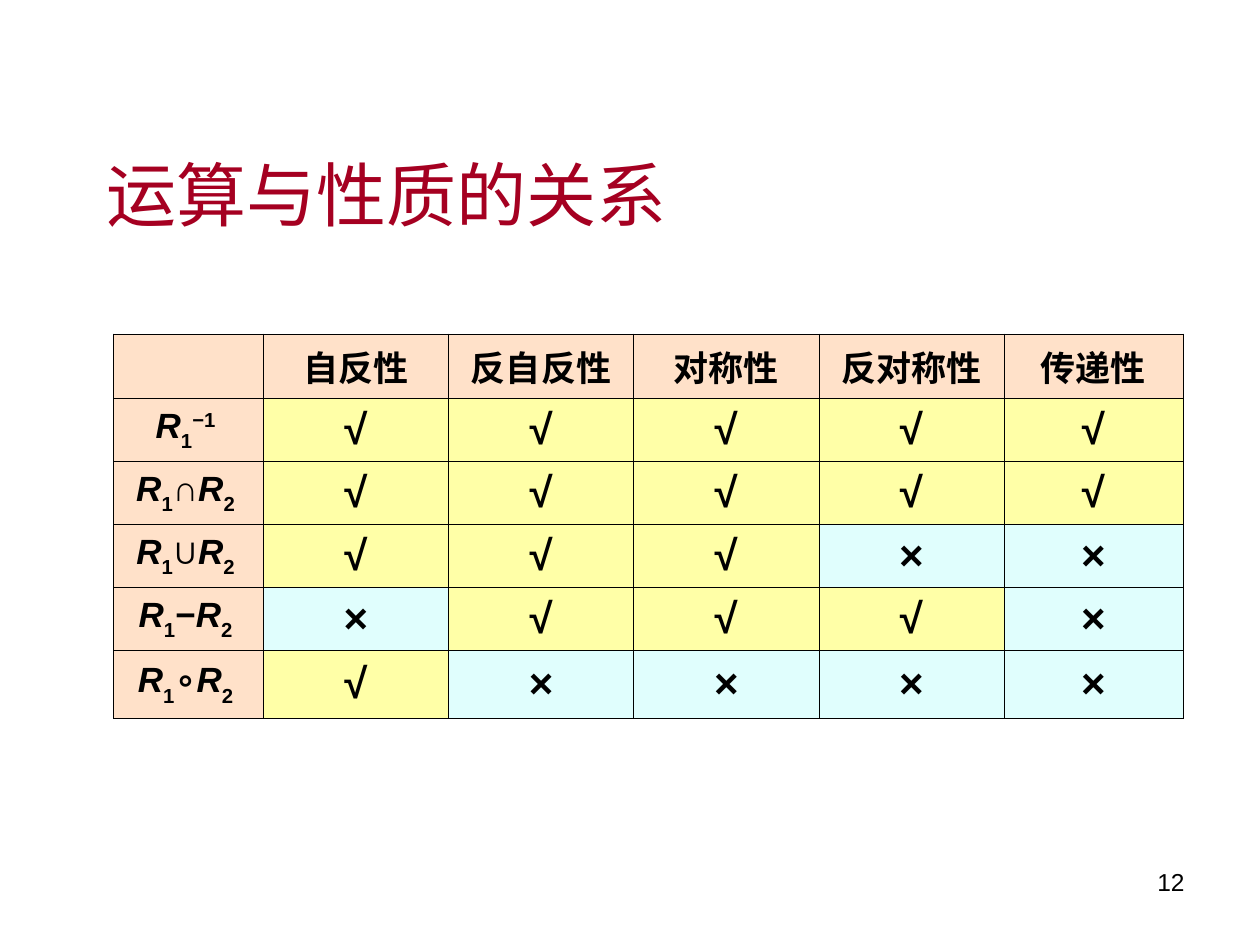
"""Build a slide with a table of relation operations and the properties they preserve."""
from lxml.etree import SubElement
from pptx import Presentation
from pptx.dml.color import RGBColor
from pptx.enum.text import MSO_ANCHOR, PP_ALIGN
from pptx.oxml.ns import qn
from pptx.util import Inches, Pt

CRIMSON = RGBColor(0xA5, 0x00, 0x21)
BLACK = RGBColor(0x00, 0x00, 0x00)
PEACH = RGBColor(0xFF, 0xE1, 0xC9)
YELLOW = RGBColor(0xFF, 0xFF, 0xA7)
CYAN = RGBColor(0xC2, 0xFE, 0xFD)


def add_run(paragraph, text, size, color=BLACK, bold=False, italic=False, baseline=0):
    run = paragraph.add_run()
    run.text = text
    run.font.name = "Arial"
    run.font.size = Pt(size)
    run.font.color.rgb = color
    run.font.bold = bold
    run.font.italic = italic
    if baseline:
        run.font._element.set("baseline", str(baseline * 1000))


def style_cell(cell, fill, opacity=100):
    cell.vertical_anchor = MSO_ANCHOR.MIDDLE
    properties = cell._tc.get_or_add_tcPr()
    for side in ("lnL", "lnR", "lnT", "lnB"):
        border = SubElement(properties, qn(f"a:{side}"), w=str(Pt(0.45)))
        SubElement(SubElement(border, qn("a:solidFill")), qn("a:srgbClr"), val=str(BLACK))
    cell.fill.solid()
    cell.fill.fore_color.rgb = fill
    if opacity < 100:
        tint = properties.find(qn("a:solidFill")).find(qn("a:srgbClr"))
        SubElement(tint, qn("a:alpha"), val=str(opacity * 1000))
    paragraph = cell.text_frame.paragraphs[0]
    paragraph.alignment = PP_ALIGN.CENTER
    indents = paragraph._p.get_or_add_pPr()
    indents.set("marL", str(Inches(0.38)))
    indents.set("indent", str(Inches(-0.38)))
    return paragraph


presentation = Presentation()
presentation.slide_width = Inches(10)
presentation.slide_height = Inches(7.5)
slide = presentation.slides.add_slide(presentation.slide_layouts[6])

title = slide.shapes.add_textbox(Inches(0.75), Inches(0.91), Inches(8.5), Inches(1.25)).text_frame
title.word_wrap = True
title.vertical_anchor = MSO_ANCHOR.MIDDLE
add_run(title.paragraphs[0], "运算与性质的关系", 40, CRIMSON)

properties_header = ["", "自反性", "反自反性", "对称性", "反对称性", "传递性"]
operations = [
    ("−1", "√√√√√"),
    ("∩", "√√√√√"),
    ("∪", "√√√××"),
    ("−", "×√√√×"),
    ("∘", "√××××"),
]
column_widths = [1.19] + [1.47] * 4 + [1.42]
row_heights = [0.51] + [0.5] * 4 + [0.54]

closure = slide.shapes.add_table(
    len(row_heights), len(column_widths), Inches(0.9), Inches(2.65), Inches(8.5), Inches(3.07)
).table
closure.first_row = False
closure.horz_banding = False
for column, width in zip(closure.columns, column_widths):
    column.width = Inches(width)
for row, height in zip(closure.rows, row_heights):
    row.height = Inches(height)

for column_index, heading in enumerate(properties_header):
    paragraph = style_cell(closure.cell(0, column_index), PEACH)
    if heading:
        add_run(paragraph, heading, 20, bold=True)

for row_index, (operator, marks) in enumerate(operations, start=1):
    paragraph = style_cell(closure.cell(row_index, 0), PEACH)
    add_run(paragraph, "R", 20, bold=True, italic=True)
    add_run(paragraph, "1", 20, bold=True, baseline=-30)
    if operator == "−1":
        add_run(paragraph, "−1 ", 20, bold=True, baseline=30)
    else:
        add_run(paragraph, operator, 20, bold=True)
        add_run(paragraph, "R", 20, bold=True, italic=True)
        add_run(paragraph, "2 ", 20, bold=True, baseline=-30)
    for column_index, mark in enumerate(marks, start=1):
        fill, opacity = (YELLOW, 100) if mark == "√" else (CYAN, 50)
        paragraph = style_cell(closure.cell(row_index, column_index), fill, opacity)
        add_run(paragraph, mark, 24, bold=True)

page_number = slide.shapes.add_textbox(Inches(7.17), Inches(6.83), Inches(2.33), Inches(0.52)).text_frame
page_number.word_wrap = True
page_number.paragraphs[0].alignment = PP_ALIGN.RIGHT
add_run(page_number.paragraphs[0], "12", 14)

presentation.save("out.pptx")
